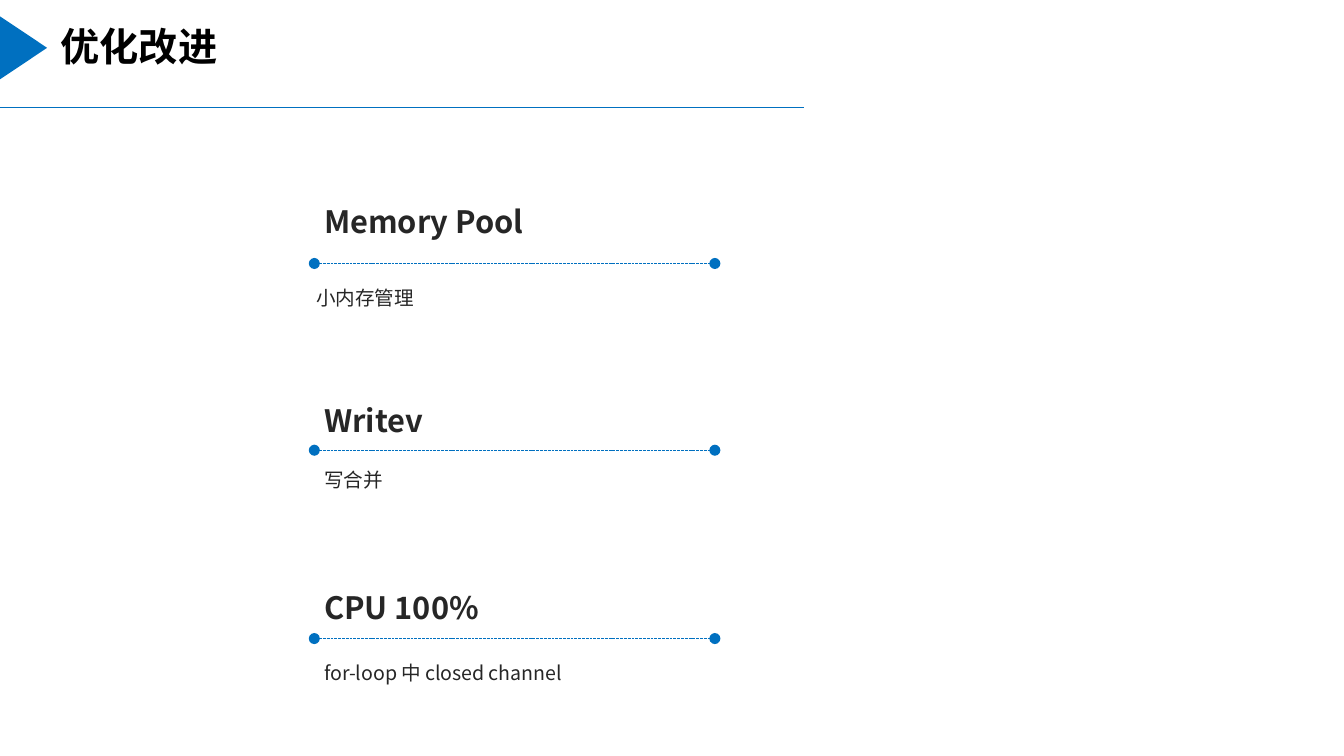
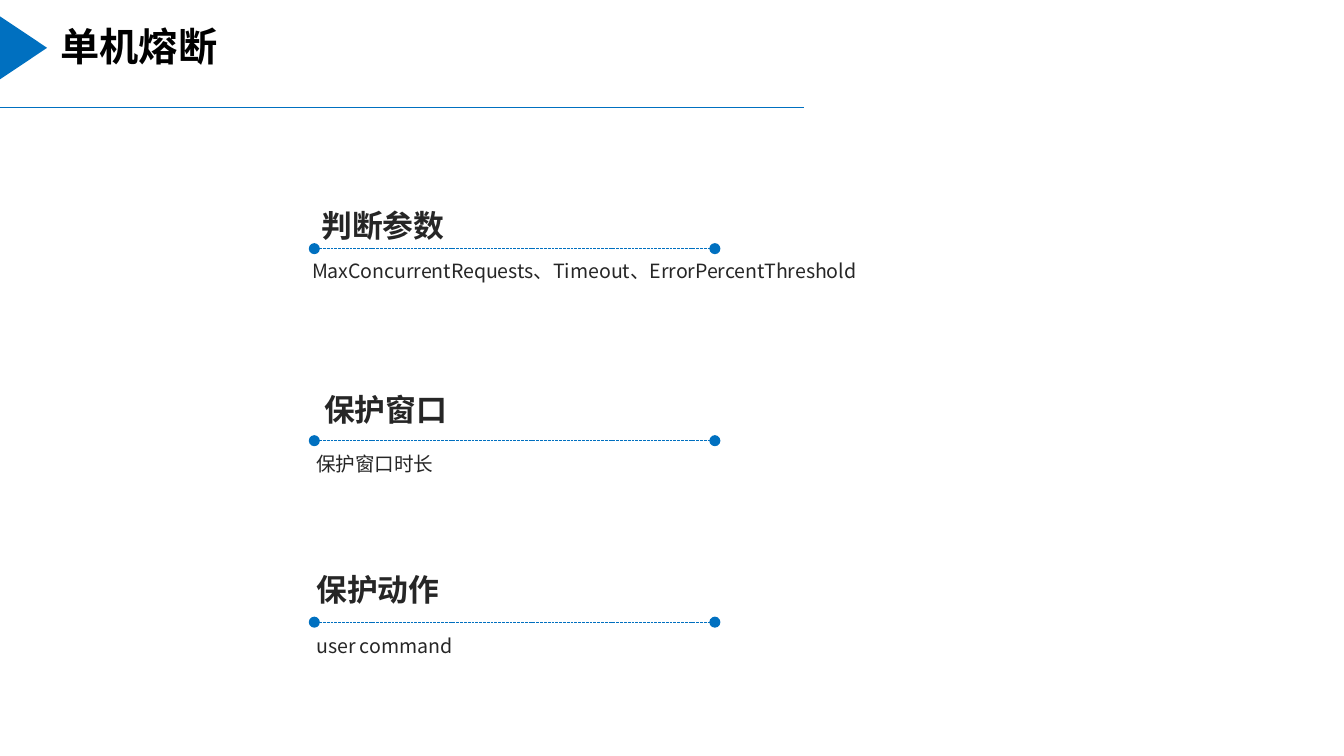
from dataclasses import dataclass

import pptx
import pptx.dml.color
import pptx.enum.dml
import pptx.enum.shapes
import pptx.enum.text
import pptx.oxml
import pptx.oxml.ns
import pptx.util
from pptx.util import Cm, Pt


@dataclass(frozen=True)
class Theme:
    blue: str = "0070C0"
    ink: str = "262626"
    black: str = "000000"
    title_font: str = "Calibri"
    body_font: str = "Noto Sans CJK SC"
    title_size: float = 21
    heading_size: float = 16.5
    detail_size: float = 10.5
    line_width: float = 0.5


@dataclass(frozen=True)
class Topic:
    rule_y: float
    heading: str
    heading_box: tuple
    detail: str
    detail_box: tuple
    wrap_heading: bool = False


THEME = Theme()
RULE_LEFT, RULE_WIDTH = 5.94, 7.57
HEADING_HEIGHT = 0.89

# Topic boxes hold left and top offsets from the rule's start, then the width and, for details, the height.
SLIDES = [
    ("优化改进", [
        Topic(4.98, "Memory Pool", (0, -1.24, 4.5),
              "小内存管理", (-0.15, 0.23, 10.44, 0.69), True),
        Topic(8.51, "Writev", (0, -1.02, 2.36),
              "写合并", (0, 0.15, 6.91, 0.69)),
        Topic(12.07, "CPU 100%", (0, -1.04, 3.43),
              "for-loop 中 closed channel", (0, 0.23, 6.91, 0.69)),
    ]),
    ("单机熔断", [
        Topic(4.7, "判断参数", (-0.05, -0.89, 4.5),
              "MaxConcurrentRequests、Timeout、ErrorPercentThreshold",
              (-0.23, 0, 14.45, 0.69), True),
        Topic(8.33, "保护窗口", (0, -1.04, 2.74),
              "保护窗口时长", (-0.15, 0.03, 10.69, 0.69)),
        Topic(11.76, "保护动作", (-0.15, -1.07, 2.74),
              "user command", (-0.15, 0.03, 6.91, 1.22)),
    ]),
]


def rgb(value):
    return pptx.dml.color.RGBColor.from_string(value)


def add_xml(parent, tag, **attributes):
    child = pptx.oxml.parse_xml(f"<a:{tag} {pptx.oxml.ns.nsdecls('a')}/>")
    for name, value in attributes.items():
        child.set(name, value)
    parent.append(child)


def format_runs(p, font, size, color, bold=False):
    for r in p.runs:
        r.font.name = font
        r.font.size = Pt(size)
        r.font.bold = bold
        r.font.color.rgb = rgb(color)
        add_xml(r.font._element, "ea", typeface=THEME.body_font)


def add_rule(slide, left, top, width, dotted=False):
    line = slide.shapes.add_connector(
        pptx.enum.shapes.MSO_CONNECTOR.STRAIGHT,
        Cm(left), Cm(top), Cm(left + width), Cm(top))
    line.line.color.rgb = rgb(THEME.blue)
    line.line.width = Pt(THEME.line_width)
    sp_pr = line.element.spPr
    if dotted:
        line.line.dash_style = pptx.enum.dml.MSO_LINE.SQUARE_DOT
        ln = sp_pr.find(pptx.oxml.ns.qn("a:ln"))
        add_xml(ln, "headEnd", type="oval")
        add_xml(ln, "tailEnd", type="oval")
    add_xml(sp_pr, "effectLst")


def add_text(slide, box, text, size, bold=False, wrap=True, spacing=1.0):
    sp = slide.shapes.add_textbox(*map(Cm, box))
    tf = sp.text_frame
    tf.word_wrap = wrap
    tf.auto_size = pptx.enum.text.MSO_AUTO_SIZE.SHAPE_TO_FIT_TEXT
    tf.margin_left = tf.margin_right = Cm(0.19)
    tf.margin_top = tf.margin_bottom = Cm(0.1)
    tf.text = text
    p = tf.paragraphs[0]
    p.line_spacing = spacing
    format_runs(p, THEME.body_font, size, THEME.ink, bold)


def add_header(slide, text, left=0, top=0):
    marker = slide.shapes.add_shape(
        pptx.enum.shapes.MSO_SHAPE.ISOSCELES_TRIANGLE,
        Cm(left - 0.15), Cm(top + 0.46), Cm(1.19), Cm(0.89))
    marker.rotation = 90
    marker.shadow.inherit = False
    marker.fill.solid()
    marker.fill.fore_color.rgb = rgb(THEME.blue)
    marker.line.fill.background()
    add_rule(slide, left, top + 2.03, 15.19)

    title = slide.shapes.title
    title.left, title.top = Cm(left + 0.89), Cm(top + 0.33)
    title.width, title.height = Cm(16.43), Cm(1.19)
    tf = title.text_frame
    tf.text = text
    tf.auto_size = pptx.enum.text.MSO_AUTO_SIZE.NONE
    tf.vertical_anchor = pptx.enum.text.MSO_ANCHOR.MIDDLE
    p = tf.paragraphs[0]
    p.alignment = pptx.enum.text.PP_ALIGN.LEFT
    p.line_spacing = 0.9
    format_runs(p, THEME.title_font, THEME.title_size, THEME.black, True)


def add_topic(slide, topic, left, width):
    top = topic.rule_y
    add_rule(slide, left, top, width, dotted=True)
    dx, dy, w = topic.heading_box
    add_text(slide, (left + dx, top + dy, w, HEADING_HEIGHT), topic.heading,
             THEME.heading_size, bold=True, wrap=topic.wrap_heading)
    dx, dy, w, h = topic.detail_box
    add_text(slide, (left + dx, top + dy, w, h), topic.detail,
             THEME.detail_size, spacing=1.2)


def add_topic_slide(prs, title, topics):
    slide = prs.slides.add_slide(prs.slide_layouts.get_by_name("Title Only"))
    add_header(slide, title)
    for topic in topics:
        add_topic(slide, topic, RULE_LEFT, RULE_WIDTH)


def main():
    prs = pptx.Presentation()
    prs.slide_width, prs.slide_height = Cm(25.4), Cm(14.29)
    for title, topics in SLIDES:
        add_topic_slide(prs, title, topics)
    prs.save("out.pptx")


if __name__ == "__main__":
    main()
